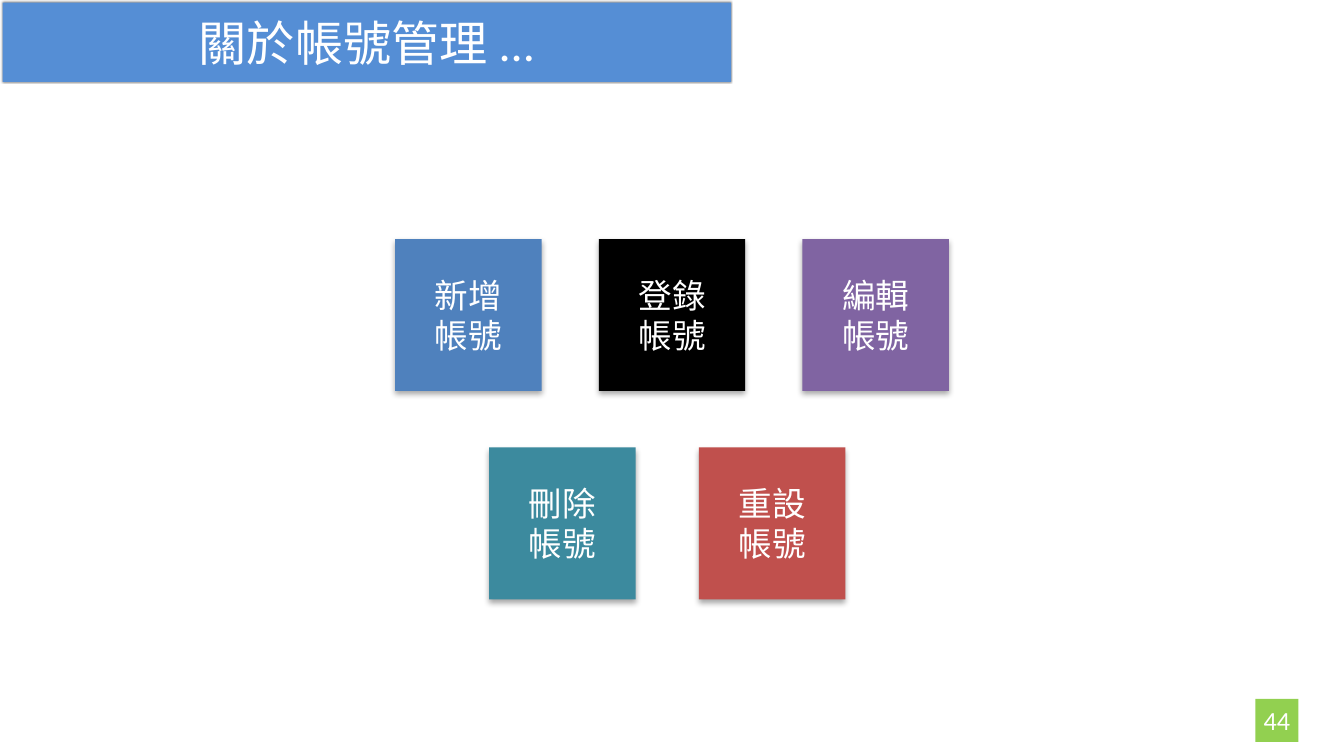
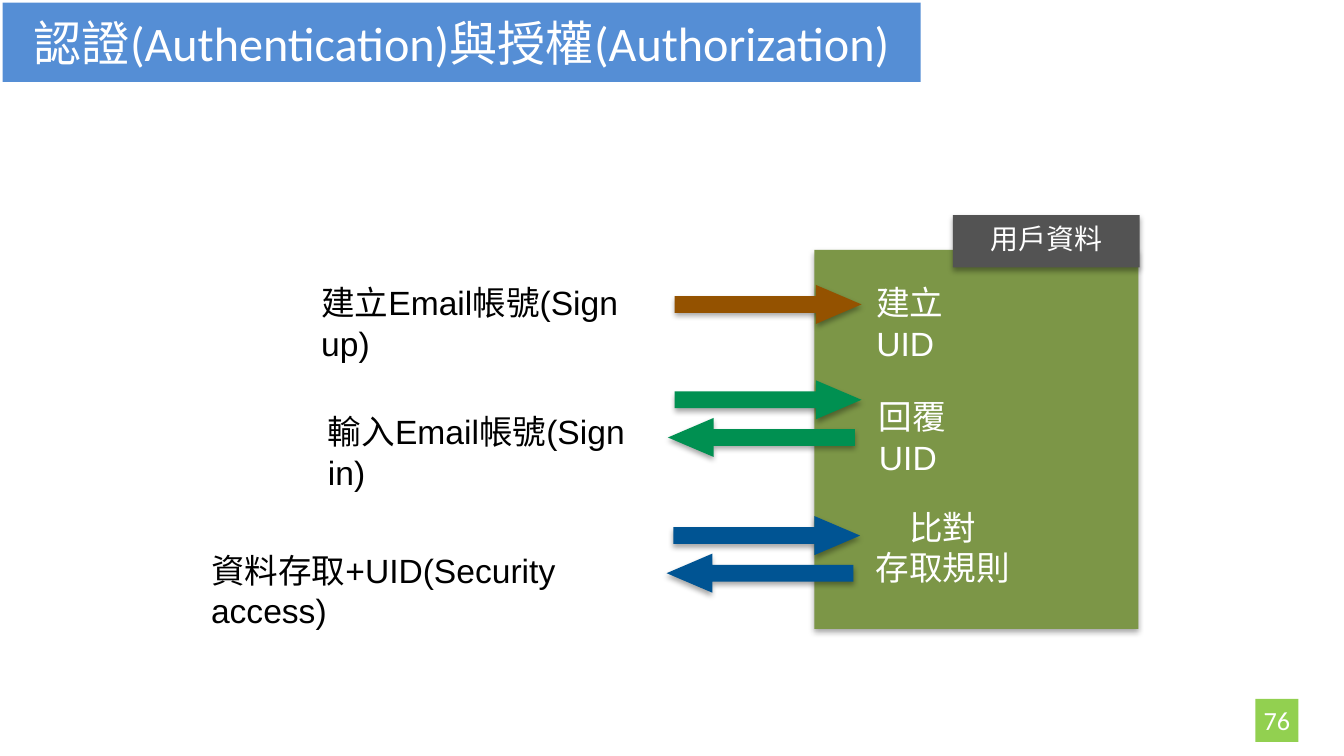
from lxml import etree
from pptx import Presentation
from pptx import util as u
from pptx.dml.color import RGBColor
from pptx.enum import shapes, text
from pptx.oxml import ns

WHITE, BLACK, BLUE, PURPLE = "FFFFFF", "000000", "4F81BD", "8064A2"
TEAL, RED, OLIVE, GRAY = "3C8A9E", "C0504D", "7C9647", "535353"
BROWN, GREEN, NAVY = "945200", "009051", "005493"
BAND, BADGE = "558ED5", "92D050"
HEADING_FONT, BODY_FONT = "Calibri", "Arial"
GRID_COLUMNS = 100  # square cells, so rows have the same size as columns
SOFT_SHADOW = (35, 3, 1.8)  # opacity in percent, blur and distance in points
EDGE_SHADOW = (50, 1, 0)


def color(value):
    return RGBColor.from_string(value)


class Deck:
    """Holds the shared style and the slide being built; lengths are grid cells."""

    def __init__(self):
        self.presentation = Presentation()
        self.presentation.slide_width = u.Inches(10)
        self.presentation.slide_height = u.Inches(5.625)
        self.cell = self.presentation.slide_width / GRID_COLUMNS
        self.slide = None

    def cells(self, *lengths):
        return [round(length * self.cell) for length in lengths]

    def paint(self, shape, fill, shadow=None):
        """Give a flat fill without outline, and optionally a shadow below."""
        shape.fill.solid()
        shape.fill.fore_color.rgb = color(fill)
        shape.line.fill.background()
        shape.shadow.inherit = False
        if shadow:
            opacity, blur, distance = shadow
            effects = shape._element.spPr.find(ns.qn("a:effectLst"))
            outer = etree.SubElement(
                effects, ns.qn("a:outerShdw"), blurRad=str(u.Pt(blur)),
                dist=str(u.Pt(distance)), dir="5400000", rotWithShape="0")
            tone = etree.SubElement(outer, ns.qn("a:srgbClr"), val=BLACK)
            etree.SubElement(tone, ns.qn("a:alpha"), val=str(opacity * 1000))

    def set_text(self, shape, words, size, font, tone=WHITE, centered=True,
                 middle=True, wrap=True):
        frame = shape.text_frame
        frame.text = words
        frame.word_wrap = wrap
        frame.auto_size = text.MSO_AUTO_SIZE.NONE
        frame.vertical_anchor = text.MSO_ANCHOR.MIDDLE if middle else text.MSO_ANCHOR.TOP
        frame.margin_left = frame.margin_right = u.Inches(0.05)
        frame.margin_top = frame.margin_bottom = u.Inches(0.05)
        for paragraph in frame.paragraphs:
            paragraph.alignment = text.PP_ALIGN.CENTER if centered else text.PP_ALIGN.LEFT
            paragraph.font.size = u.Pt(size)
            paragraph.font.name = font
            paragraph.font.color.rgb = color(tone)

    def new_slide(self, title, band_width, number, shadow=None):
        layout = self.presentation.slide_layouts[5]
        self.slide = self.presentation.slides.add_slide(layout)
        band = self.slide.shapes.title
        band.left, band.top, band.width, band.height = self.cells(0.2, 0.2, band_width, 5.9)
        self.paint(band, BAND, shadow)
        self.set_text(band, title, 25.8, HEADING_FONT)
        badge = self.block(93.4, 52, 3.2, 3.2, BADGE, shadow=None)
        self.set_text(badge, number, 14, HEADING_FONT, wrap=False)

    def block(self, left, top, width, height, fill,
              kind=shapes.MSO_SHAPE.RECTANGLE, shadow=SOFT_SHADOW):
        shape = self.slide.shapes.add_shape(kind, *self.cells(left, top, width, height))
        self.paint(shape, fill, shadow)
        return shape

    def tile_row(self, left, top, step, tiles):
        for index, (words, fill) in enumerate(tiles):
            tile = self.block(left + index * step, top, 10.9, 11.3, fill)
            self.set_text(tile, words, 18, HEADING_FONT)

    def label(self, words, left, top, width, height=4.5, tone=BLACK, centered=False):
        box = self.slide.shapes.add_textbox(*self.cells(left, top, width, height))
        self.set_text(box, words, 18, BODY_FONT, tone, centered, middle=False)

    def arrow(self, left, top, fill, backward=False):
        shape = self.block(left, top, 13.9, 2.9, fill, shapes.MSO_SHAPE.RIGHT_ARROW)
        shape.adjustments[0], shape.adjustments[1] = 0.43, 1.17
        shape.rotation = 180 if backward else 0

    def exchange(self, left, top, fill):
        """Draw a request arrow with its reply just below."""
        self.arrow(left, top, fill)
        self.arrow(left - 0.5, top + 2.8, fill, backward=True)


def account_slide(deck):
    deck.new_slide("關於帳號管理 ...", 54.2, "44", EDGE_SHADOW)
    deck.tile_row(29.4, 17.8, 15.15, [
        ("新增\n帳號", BLUE), ("登錄\n帳號", BLACK), ("編輯\n帳號", PURPLE)])
    deck.tile_row(36.4, 33.3, 15.6, [("刪除\n帳號", TEAL), ("重設\n帳號", RED)])


def authorization_slide(deck):
    deck.new_slide("認證(Authentication)與授權(Authorization)", 68.3, "76")
    deck.label("輸入Email帳號(Sign in)", 23.9, 30.1, 25.4)
    deck.label("建立Email帳號(Sign up)", 23.4, 20.5, 26.4)
    deck.label("資料存取+UID(Security access)", 15.2, 40.4, 34.8)

    deck.block(60.6, 18.6, 24.1, 28.2, OLIVE)
    user_data = deck.block(70.9, 16, 13.9, 3.9, GRAY)
    deck.set_text(user_data, "用戶資料", 15, BODY_FONT, middle=False)

    deck.exchange(50.2, 28.3, GREEN)
    deck.label("回覆UID", 64.9, 29, 10.1, tone=WHITE)
    deck.arrow(50.2, 21.2, BROWN)
    deck.exchange(50.1, 38.4, NAVY)
    deck.label("比對\n存取規則", 64.6, 37.2, 11.1, 7.9, WHITE, centered=True)
    deck.label("建立UID", 64.7, 20.5, 10.1, tone=WHITE)


def main():
    deck = Deck()
    account_slide(deck)
    authorization_slide(deck)
    deck.presentation.save("out.pptx")


if __name__ == "__main__":
    main()
